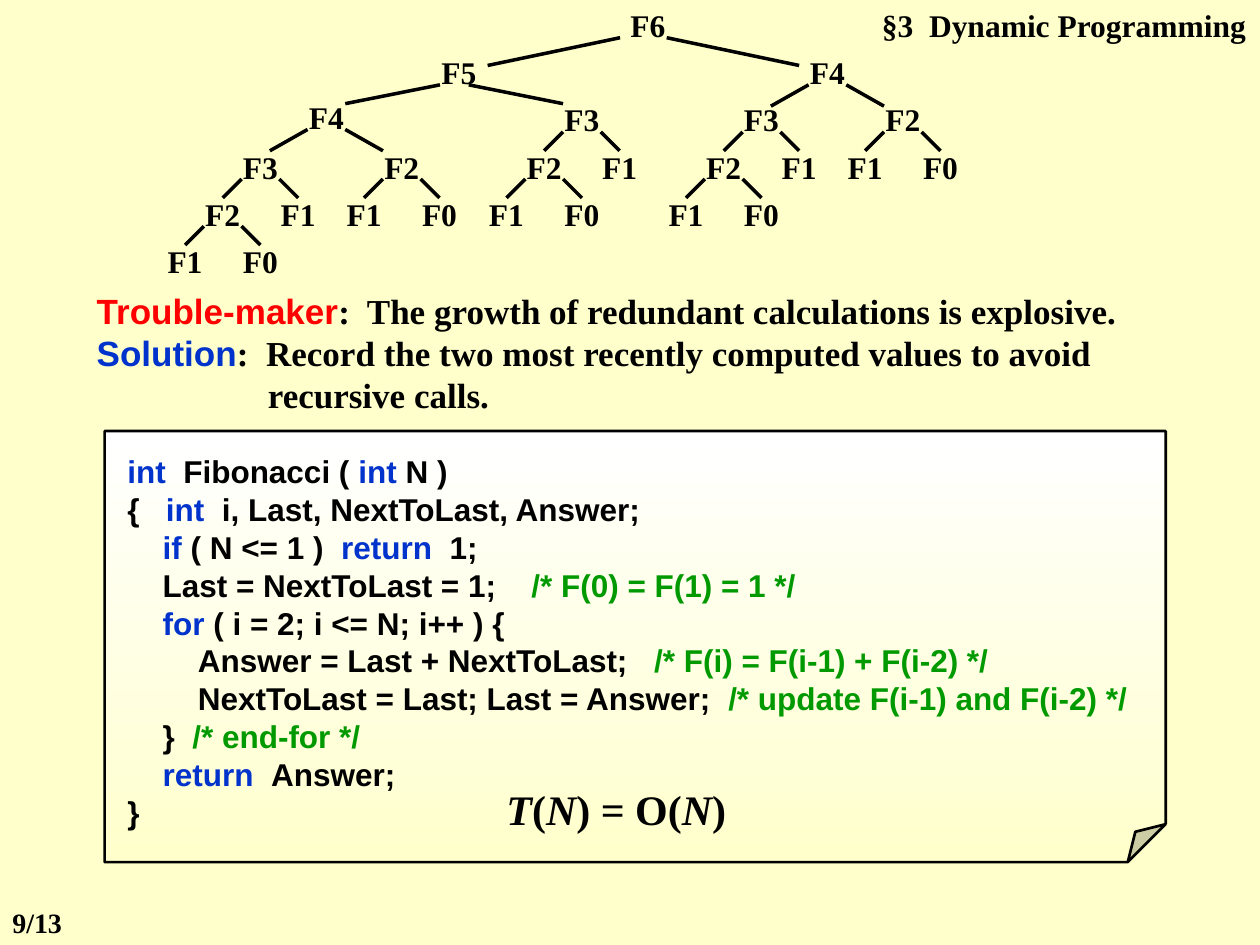
"""Build a slide on the redundant calls of recursive Fibonacci and their cure."""
from lxml.etree import SubElement
from pptx import Presentation
from pptx.dml.color import RGBColor
from pptx.enum.shapes import MSO_CONNECTOR as Link, MSO_SHAPE as Form
from pptx.enum.text import MSO_ANCHOR as Anchor, PP_ALIGN as Align
from pptx.oxml.ns import qn
from pptx.util import Cm, Pt

BLACK, RED, BLUE, GREEN = "000000", "FF0000", "0033CC", "009900"
CREAM, WHITE = "FFFFCC", "FFFFFF"
SERIF, SANS = {"name": "Times New Roman"}, {"name": "Arial"}
KINDS = {
    "text": (BLACK, SERIF),
    "var": (BLACK, {**SERIF, "italic": True}),
    "bad": (RED, SANS),
    "good": (BLUE, SANS),
    "code": (BLACK, SANS),
    "key": (BLUE, SANS),
    "note": (GREEN, SANS),
}

LABELS = [
    ((16.51, 0, 8.86, 1.02), 18, {"alignment": Align.RIGHT}, 0,
     [("§3  Dynamic Programming", "text")]),
    ((1.7, 5.72, 21.59, 1.12), 20, {}, 0,
     [("Trouble-maker", "bad"),
      (":  The growth of redundant calculations is explosive.", "text")]),
    ((1.7, 6.55, 21.39, 1.96), 20, {}, 3.45,
     [("Solution", "good"),
      (":  Record the two most recently computed values to avoid recursive calls.", "text")]),
    ((9.96, 15.67, 5.51, 1.27), 24, {}, 0,
     [("T", "var"), ("(", "text"), ("N", "var"), (") = O(", "text"),
      ("N", "var"), (")", "text")]),
    ((0, 18.14, 2.49, 0.94), 16, {}, 0, [("9/13", "text")]),
]

CODE = [
    (0, [("int", "key"), ("  Fibonacci ( ", "code"), ("int", "key"), (" N )", "code")]),
    (0, [("{   ", "code"), ("int", "key"), ("  i, Last, NextToLast, Answer;", "code")]),
    (1, [("if", "key"), (" ( N <= 1 )  ", "code"), ("return", "key"), ("  1;", "code")]),
    (1, [("Last = NextToLast = 1;    ", "code"), ("/* F(0) = F(1) = 1 */", "note")]),
    (1, [("for", "key"), (" ( i = 2; i <= N; i++ ) {", "code")]),
    (2, [("Answer = Last + NextToLast;   ", "code"), ("/* F(i) = F(i-1) + F(i-2) */", "note")]),
    (2, [("NextToLast = Last; Last = Answer;  ", "code"),
         ("/* update F(i-1) and F(i-2) */", "note")]),
    (1, [("}  ", "code"), ("/* end-for */", "note")]),
    (1, [("return  ", "key"), ("Answer;", "code")]),
    (0, [("}", "code")]),
]
CARD, FOLD = (2.11, 8.69, 21.39, 8.69), 8800
INDENT = 0.71

ROOT, ROW, NODE_W, NODE_H, FOOT = 13.06, 0.95, 1.52, 1.02, 0.76
SMALL = (0.38, ((-0.76, -0.38, -0.76), (0.76, 0.38, 0.76)))
SPLITS = {
    6: (0.56, ((-3.81, -0.56, -3.23), (3.62, 0.38, 3.05))),
    5: (0.38, ((-2.67, -0.38, -2.29), (2.48, 0.2, 2.1))),
    4: (0.43, ((-1.33, -0.38, -1.14), (1.52, 0.38, 1.14))),
}


def paint(color, code):
    color.rgb = RGBColor.from_string(code)


def put(target, values):
    for key, val in values.items():
        setattr(target, key, val)


def write(para, runs, size):
    para.line_spacing = Pt(1.2 * size)
    for words, kind in runs:
        run = para.add_run()
        run.text = words
        code, face = KINDS[kind]
        put(run.font, {"size": Pt(size), "bold": True, **face})
        paint(run.font.color, code)


def dent(para, left, first=0):
    props = para._p.get_or_add_pPr()
    props.set("marL", str(Cm(left)))
    props.set("indent", str(Cm(first)))


def label(slide, at, size, style, hang, runs):
    box = slide.shapes.add_textbox(*map(Cm, at))
    box.text_frame.word_wrap = True
    para = box.text_frame.paragraphs[0]
    put(para, style)
    if hang:
        dent(para, hang, -hang)
    write(para, runs, size)


def branch(slide, *ends):
    line = slide.shapes.add_connector(Link.STRAIGHT, *map(Cm, ends))
    line.line.width = Pt(2)
    paint(line.line.color, BLACK)
    SubElement(line._element.spPr, qn("a:effectLst"))


def tree(slide, num, mid, row=0):
    top = row * ROW - (0.05 if (num, row) == (4, 2) else 0)
    label(slide, (mid - NODE_W / 2, top, NODE_W, NODE_H), 18,
          {"alignment": Align.CENTER}, 0, [(f"F{num}", "text")])
    if num < 2:
        return
    drop, sides = SPLITS.get(num, SMALL)
    for less, (shift, near, far) in enumerate(sides, 1):
        branch(slide, mid + near, top + FOOT, mid + far, top + FOOT + drop)
        tree(slide, num - less, mid + shift, row + 1)


def card(slide):
    note = slide.shapes.add_shape(Form.FOLDED_CORNER, *map(Cm, CARD))
    guides = next(note._element.spPr.iter(qn("a:avLst")))
    SubElement(guides, qn("a:gd"), name="adj", fmla=f"val {FOLD}")
    note.shadow.inherit = False
    note.fill.gradient()
    note.fill.gradient_angle = 270
    for stop, code in zip(note.fill.gradient_stops, (WHITE, CREAM)):
        paint(stop.color, code)
    note.line.width = Pt(1.5)
    paint(note.line.color, BLACK)
    frame = note.text_frame
    put(frame, {"word_wrap": True, "vertical_anchor": Anchor.TOP,
                "margin_left": Cm(0.46), "margin_top": Cm(0.43)})
    for row, (depth, runs) in enumerate(CODE):
        para = frame.add_paragraph() if row else frame.paragraphs[0]
        para.alignment = Align.LEFT
        dent(para, depth * INDENT)
        write(para, runs, 18)


def main():
    deck = Presentation()
    put(deck, {"slide_width": Cm(25.4), "slide_height": Cm(19.05)})
    slide = deck.slides.add_slide(deck.slide_layouts[6])
    fill = slide.background.fill
    fill.solid()
    paint(fill.fore_color, CREAM)
    tree(slide, 6, ROOT)
    card(slide)
    for item in LABELS:
        label(slide, *item)
    deck.save("out.pptx")


if __name__ == "__main__":
    main()
